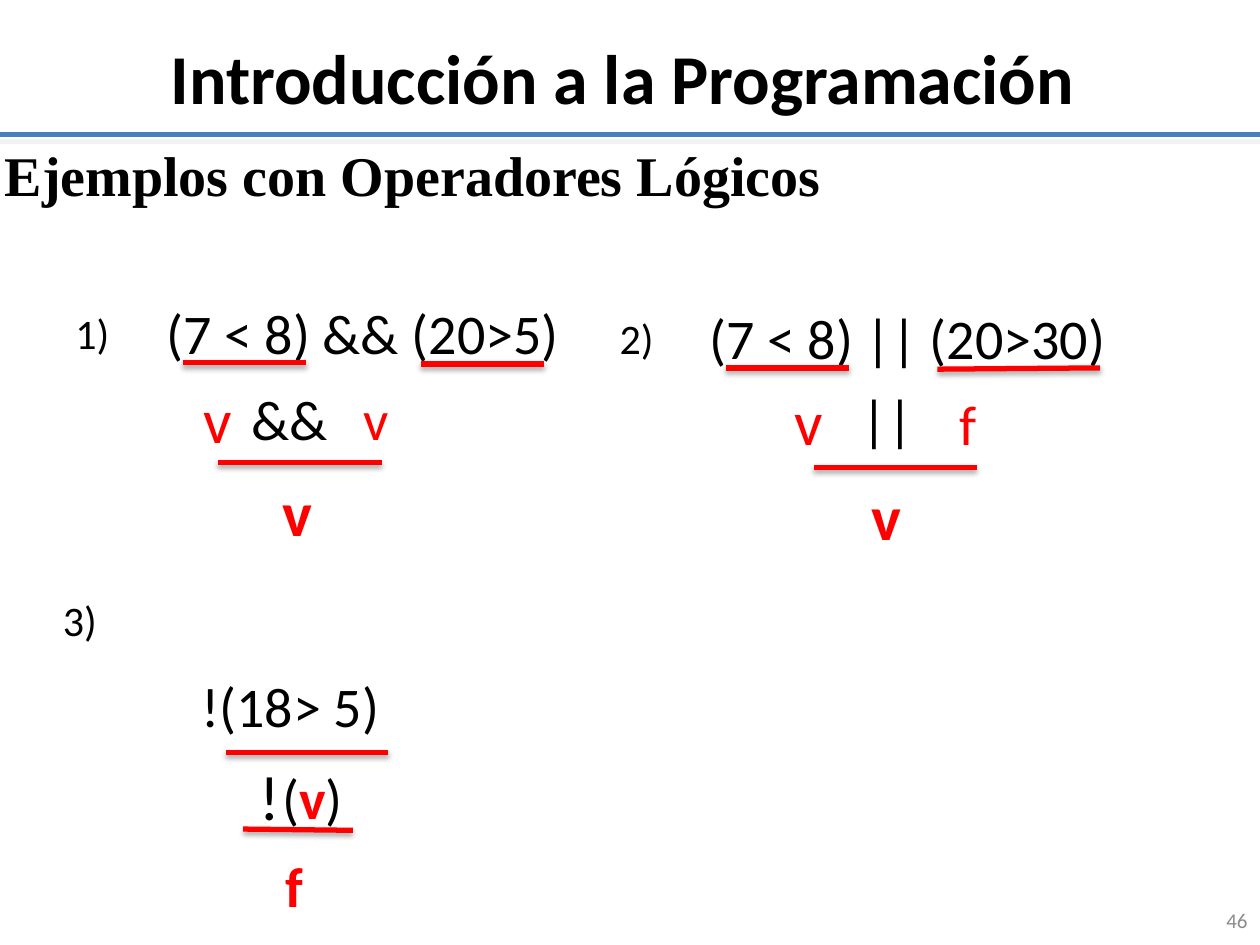
from typing import NamedTuple

from lxml.etree import SubElement
from pptx import Presentation
from pptx.dml.color import RGBColor
from pptx.enum.shapes import MSO_CONNECTOR
from pptx.enum.text import MSO_ANCHOR, PP_ALIGN
from pptx.oxml.ns import qn
from pptx.util import Inches, Pt

COLORS = {"text": "000000", "result": "FF0000", "rule": "4B7EBC",
          "rule_shadow": "F2F2F2", "number": "8C8C8C"}


class Span(NamedTuple):
    text: str
    color: str = "text"
    bold: bool = False


class Label(NamedTuple):
    left: float
    top: float
    width: float
    height: float
    spans: tuple[Span, ...]
    size: int = 32
    font: str = "Calibri"
    align: PP_ALIGN = PP_ALIGN.LEFT
    anchor: MSO_ANCHOR = MSO_ANCHOR.TOP


class Shadow(NamedTuple):
    color: str
    opacity: int
    blur: float
    distance: float
    angle: int


class Line(NamedTuple):
    x1: float
    y1: float
    x2: float
    y2: float
    color: str = "result"
    shadow: Shadow = Shadow("text", 35, 3.1, 1.8, 90)


TRUE = (Span("v", "result"),)
FINAL_TRUE = (Span("v", "result", True),)
FINAL_FALSE = (Span("f", "result", True),)

HEADER_RULE = Line(0, 1.07, 10, 1.07, "rule", Shadow("rule_shadow", 100, 0, 4, 94))
TITLE = Label(-0.06, -0.02, 10, 1.25, (Span("Introducción a la Programación", bold=True),),
              40, align=PP_ALIGN.CENTER, anchor=MSO_ANCHOR.MIDDLE)

LABELS = [
    Label(7.67, 7.1, 2.33, 0.4, (Span("46", "number"),), 12,
          align=PP_ALIGN.RIGHT, anchor=MSO_ANCHOR.MIDDLE),
    Label(-0.06, 1.07, 9.51, 0.64, (Span("Ejemplos con Operadores Lógicos", bold=True),),
          font="Times New Roman"),
    # Example 1
    Label(0.5, 2.39, 0.8, 0.5, (Span("1)"),), 24),
    Label(1.22, 2.32, 3.63, 0.64, (Span("(7 < 8) && (20>5)"),)),
    Label(1.52, 2.97, 0.91, 0.71, TRUE, 36),
    Label(1.9, 3, 0.82, 0.64, (Span("&&"),)),
    Label(2.79, 3, 0.54, 0.64, TRUE),
    Label(2.14, 3.71, 0.57, 0.71, FINAL_TRUE, 36),
    # Example 2
    Label(4.82, 2.43, 0.8, 0.5, (Span("2)"),), 24),
    Label(5.53, 2.36, 3.63, 0.64, (Span("(7 < 8) || (20>30)"),)),
    Label(6.21, 2.99, 0.91, 0.71, TRUE, 36),
    Label(6.74, 3, 0.82, 0.64, (Span("||"),)),
    Label(7.52, 3.04, 0.54, 0.64, (Span("f", "result"),)),
    Label(6.82, 3.74, 0.57, 0.71, FINAL_TRUE, 36),
    # Example 3
    Label(0.4, 4.67, 0.8, 0.5, (Span("3)"),), 24),
    Label(1.5, 5.28, 1.94, 0.64, (Span("!(18> 5)"),)),
    Label(1.96, 5.96, 0.38, 0.71, (Span("!"),), 36),
    Label(2.14, 6.01, 0.73, 0.64, (Span("("), *FINAL_TRUE, Span(")"))),
    Label(2.17, 6.71, 0.34, 0.64, FINAL_FALSE),
]

UNDERLINES = [
    Line(1.45, 2.88, 2.43, 2.88),
    Line(3.34, 2.89, 4.32, 2.89),
    Line(1.73, 3.67, 3.03, 3.67),
    Line(5.76, 2.92, 6.74, 2.92),
    Line(7.44, 2.93, 8.73, 2.92),
    Line(6.46, 3.71, 7.75, 3.71),
    Line(1.79, 5.97, 3.08, 5.97),
    Line(1.93, 6.58, 2.8, 6.59),
]


def rgb(name: str) -> RGBColor:
    return RGBColor.from_string(COLORS[name])


def write_label(shape, label: Label) -> None:
    """Place a text shape and fill it with the label's formatted spans."""
    shape.left, shape.top = Inches(label.left), Inches(label.top)
    shape.width, shape.height = Inches(label.width), Inches(label.height)
    frame = shape.text_frame
    frame.word_wrap = True
    frame.vertical_anchor = label.anchor
    paragraph = frame.paragraphs[0]
    paragraph.alignment = label.align
    for span in label.spans:
        run = paragraph.add_run()
        run.text = span.text
        run.font.name = label.font
        run.font.size = Pt(label.size)
        run.font.bold = span.bold
        run.font.color.rgb = rgb(span.color)


def add_label(slide, label: Label) -> None:
    write_label(slide.shapes.add_textbox(0, 0, 0, 0), label)


def add_line(slide, line: Line) -> None:
    connector = slide.shapes.add_connector(
        MSO_CONNECTOR.STRAIGHT, Inches(line.x1), Inches(line.y1),
        Inches(line.x2), Inches(line.y2))
    connector.line.color.rgb = rgb(line.color)
    connector.line.width = Pt(3)
    shadow = line.shadow
    effects = SubElement(connector._element.spPr, qn("a:effectLst"))
    outer = SubElement(effects, qn("a:outerShdw"), blurRad=str(Pt(shadow.blur)),
                       dist=str(Pt(shadow.distance)), dir=str(shadow.angle * 60000),
                       rotWithShape="0")
    color = SubElement(outer, qn("a:srgbClr"), val=COLORS[shadow.color])
    SubElement(color, qn("a:alpha"), val=str(shadow.opacity * 1000))


def main() -> None:
    deck = Presentation()
    deck.slide_width, deck.slide_height = Inches(10), Inches(7.5)
    slide = deck.slides.add_slide(deck.slide_layouts[5])
    add_line(slide, HEADER_RULE)
    write_label(slide.shapes.title, TITLE)
    for label in LABELS:
        add_label(slide, label)
    for underline in UNDERLINES:
        add_line(slide, underline)
    deck.save("out.pptx")


if __name__ == "__main__":
    main()
